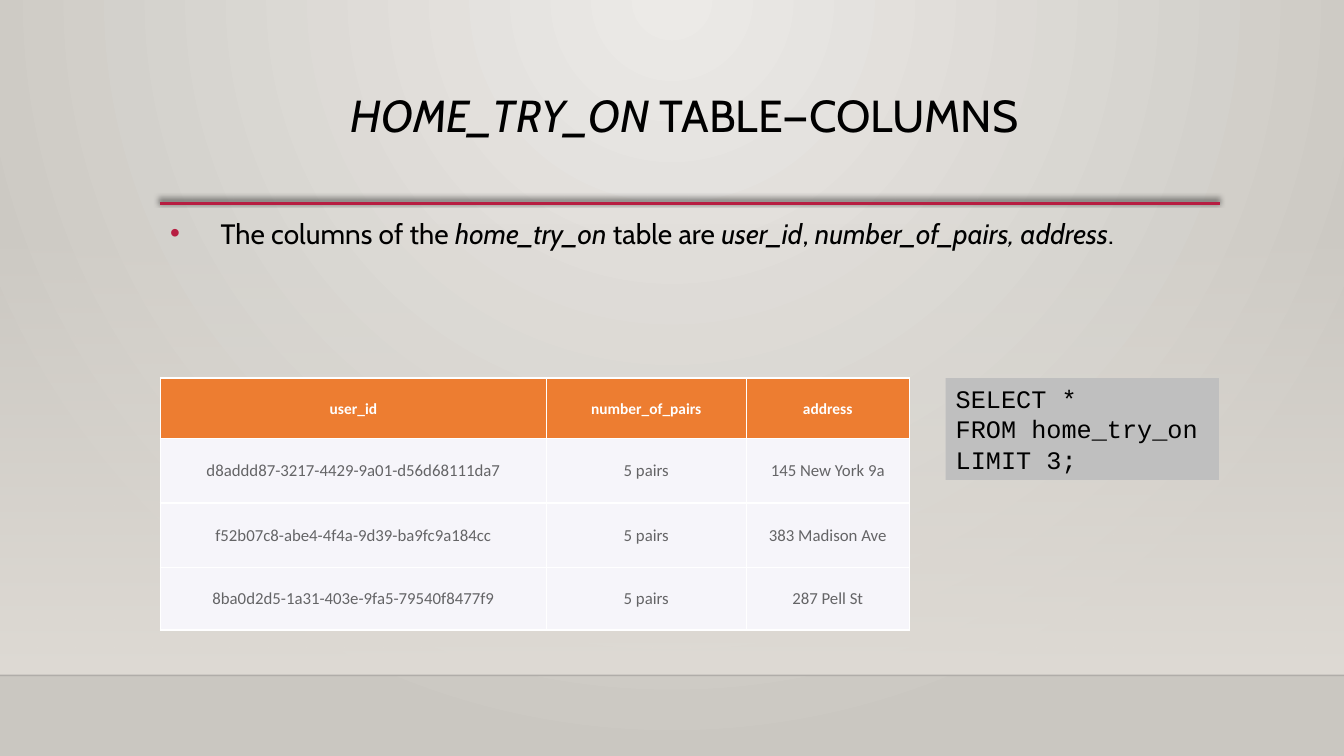
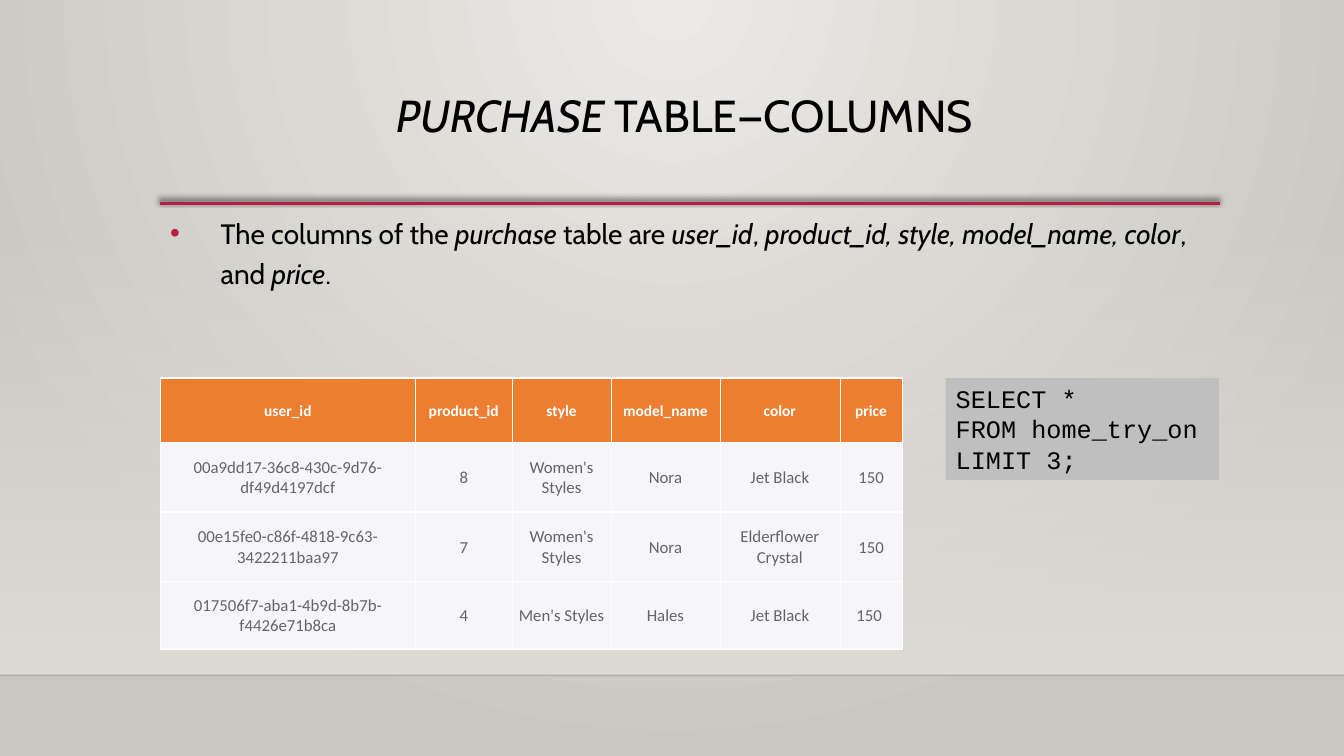
import lxml.etree
import pptx
import pptx.dml.color
import pptx.enum.shapes
import pptx.enum.text
import pptx.oxml.ns
import pptx.util

Inches = pptx.util.Inches
Pt = pptx.util.Pt
qn = pptx.oxml.ns.qn
ALIGN = pptx.enum.text.PP_ALIGN
MIDDLE = pptx.enum.text.MSO_ANCHOR.MIDDLE

WIDTH, HEIGHT = 13.33, 7.5
LEFT, CONTENT_WIDTH = 1.59, 10.5
RULE_TOP, TABLE_TOP, FLOOR_TOP = 2.02, 3.75, 6.7
CODE_LEFT, CODE_WIDTH = 9.38, 2.71


def color(hex_text):
    return pptx.dml.color.RGBColor.from_string(hex_text)


def add_element(parent, tag, **attributes):
    element = lxml.etree.SubElement(parent, qn(tag))
    for name, value in attributes.items():
        element.set(name, str(value))
    return element


def add_color(parent, hex_text, opacity=100):
    element = add_element(parent, "a:srgbClr", val=hex_text)
    if opacity < 100:
        add_element(element, "a:alpha", val=opacity * 1000)


def set_gradient(fill, start, end):
    fill.gradient()
    for stop, hex_text in zip(fill.gradient_stops, (start, end)):
        stop.color.rgb = color(hex_text)


class Deck:
    ACCENT = "B71E42"
    TEXT = "000000"
    FLOOR = "DFDBD5"
    CODE_FILL = "BFBFBF"
    HEADER_FILL, HEADER_TEXT = "ED7D31", "FFFFFF"
    CELL_FILL, CELL_TEXT = "F6F5FA", "646466"
    BORDER = "FFFFFF"
    BODY_FONT, TABLE_FONT, CODE_FONT = "Cabin", "Calibri", "Courier New"

    def __init__(self):
        self.presentation = pptx.Presentation()
        self.presentation.slide_width = Inches(WIDTH)
        self.presentation.slide_height = Inches(HEIGHT)
        self.slide = None
        self.set_background()

    def set_background(self):
        """Give the master a round gradient that spreads from the top centre."""
        master = self.presentation.slide_master
        set_gradient(master.background.fill, "ECEAE7", "CAC7C1")
        gradient = master.element.find(".//" + qn("a:gradFill"))
        gradient.remove(gradient.find(qn("a:lin")))
        circle = add_element(gradient, "a:path", path="circle")
        add_element(circle, "a:fillToRect", l=43000, t=0, r=43000, b=100000)

    def add_slide(self):
        blank = self.presentation.slide_layouts[6]
        self.slide = self.presentation.slides.add_slide(blank)
        self.add_wall()
        floor_line = self.add_line(0, WIDTH, FLOOR_TOP, "000001", 1)
        line_color = floor_line.line._get_or_add_ln().find(".//" + qn("a:srgbClr"))
        add_element(line_color, "a:alpha", val=20000)
        rule = self.add_line(LEFT, 12.1, RULE_TOP, self.ACCENT, 2.5)
        effects = rule._element.spPr.find(qn("a:effectLst"))
        shadow = add_element(effects, "a:outerShdw", blurRad=Pt(4), dist=Pt(3),
                             dir=245 * 60000, algn="ctr", rotWithShape=0)
        add_color(shadow, "000000", 60)

    def add_rectangle(self, left, top, width, height):
        shape = self.slide.shapes.add_shape(
            pptx.enum.shapes.MSO_SHAPE.RECTANGLE,
            Inches(left), Inches(top), Inches(width), Inches(height))
        shape.shadow.inherit = False
        shape.line.fill.background()
        return shape

    def add_wall(self):
        """Fade the lower part of the background in, down to the floor line."""
        top = 2.21
        wall = self.add_rectangle(0, top, WIDTH, FLOOR_TOP - top)
        set_gradient(wall.fill, self.FLOOR, self.FLOOR)
        wall.fill.gradient_angle = 270
        first_color = wall._element.spPr.find(".//" + qn("a:srgbClr"))
        add_element(first_color, "a:alpha", val=0)

    def add_line(self, start, end, top, hex_text, weight):
        line = self.slide.shapes.add_connector(
            pptx.enum.shapes.MSO_CONNECTOR.STRAIGHT,
            Inches(start), Inches(top), Inches(end), Inches(top))
        line.line.color.rgb = color(hex_text)
        line.line.width = Pt(weight)
        add_element(line._element.spPr, "a:effectLst")
        return line

    def add_runs(self, paragraph, text, font, size, hex_text=TEXT, bold=False):
        """Add runs split at each bar; every second one is italic."""
        for index, part in enumerate(text.split("|")):
            if not part:
                continue
            run = paragraph.add_run()
            run.text = part
            run.font.name = font
            run.font.size = Pt(size)
            run.font.color.rgb = color(hex_text)
            run.font.bold = bold
            run.font.italic = index % 2 == 1

    def add_text_box(self, top, height):
        box = self.slide.shapes.add_textbox(
            Inches(LEFT), Inches(top), Inches(CONTENT_WIDTH), Inches(height))
        box.text_frame.word_wrap = True
        return box.text_frame.paragraphs[0]

    def add_title(self, text):
        paragraph = self.add_text_box(0.88, 1.15)
        paragraph.alignment = ALIGN.CENTER
        paragraph.line_spacing = 0.9
        self.add_runs(paragraph, text, self.BODY_FONT, 32)

    def add_bullet(self, text, height):
        paragraph = self.add_text_box(2.03, height)
        paragraph.line_spacing = 1.2
        paragraph.space_before = Pt(10)
        properties = paragraph._p.get_or_add_pPr()
        properties.set("marL", str(Inches(0.5)))
        properties.set("indent", str(Inches(-0.5)))
        add_color(add_element(properties, "a:buClr"), self.ACCENT)
        add_element(properties, "a:buFont", typeface="Arial")
        add_element(properties, "a:buChar", char="•")
        self.add_runs(paragraph, text, self.BODY_FONT, 20)

    def add_code(self, lines):
        shape = self.add_rectangle(CODE_LEFT, TABLE_TOP, CODE_WIDTH, 1.01)
        shape.fill.solid()
        shape.fill.fore_color.rgb = color(self.CODE_FILL)
        frame = shape.text_frame
        frame.word_wrap = True
        frame.vertical_anchor = MIDDLE
        for index, line in enumerate(lines):
            paragraph = frame.add_paragraph() if index else frame.paragraphs[0]
            paragraph.alignment = ALIGN.LEFT
            self.add_runs(paragraph, line, self.CODE_FONT, 18)

    def add_table(self, rows, widths, heights):
        table = self.slide.shapes.add_table(
            len(rows), len(widths), Inches(LEFT), Inches(TABLE_TOP),
            Inches(sum(widths)), Inches(sum(heights))).table
        table.horz_banding = False
        for column, width in zip(table.columns, widths):
            column.width = Inches(width)
        for row_index, (values, height) in enumerate(zip(rows, heights)):
            table.rows[row_index].height = Inches(height)
            for column_index, value in enumerate(values):
                cell = table.cell(row_index, column_index)
                self.fill_cell(cell, value, row_index == 0, column_index == 0)

    def fill_cell(self, cell, value, is_header, is_first):
        cell.margin_left = cell.margin_right = cell.margin_top = Inches(0.01)
        cell.margin_bottom = 0
        cell.vertical_anchor = MIDDLE
        properties = cell._tc.get_or_add_tcPr()
        weights = {"L": 1 if is_first else 0.5, "R": 0.5, "T": 1, "B": 1}
        for side, weight in weights.items():
            border = add_element(properties, "a:ln" + side, w=Pt(weight))
            add_color(add_element(border, "a:solidFill"), self.BORDER)
        cell.fill.solid()
        cell.fill.fore_color.rgb = color(self.HEADER_FILL if is_header else self.CELL_FILL)
        paragraph = cell.text_frame.paragraphs[0]
        paragraph.alignment = ALIGN.CENTER
        self.add_runs(paragraph, value, self.TABLE_FONT, 11 if is_header else 12,
                      self.HEADER_TEXT if is_header else self.CELL_TEXT, is_header)


QUERY = ["SELECT *", "FROM home_try_on", "LIMIT 3;"]

TABLE_SLIDES = [
    {
        "title": "|HOME_TRY_ON |TABLE—COLUMNS ",
        "bullet": "The columns of the |home_try_on| table are |user_id|, "
                  "|number_of_pairs, address|.",
        "bullet_height": 0.47,
        "widths": [3.83, 1.98, 1.62],
        "heights": [0.6, 0.64, 0.64, 0.62],
        "rows": [
            ["user_id", "number_of_pairs", "address"],
            ["d8addd87-3217-4429-9a01-d56d68111da7", "5 pairs", "145 New York 9a"],
            ["f52b07c8-abe4-4f4a-9d39-ba9fc9a184cc", "5 pairs", "383 Madison Ave"],
            ["8ba0d2d5-1a31-403e-9fa5-79540f8477f9", "5 pairs", "287 Pell St"],
        ],
    },
    {
        "title": "|PURCHASE |TABLE—COLUMNS ",
        "bullet": "The columns of the |purchase| table are |user_id|, "
                  "|product_id, style, model_name, color|, and |price|.",
        "bullet_height": 0.87,
        "widths": [2.53, 0.96, 0.98, 1.08, 1.19, 0.62],
        "heights": [0.64, 0.69, 0.69, 0.67],
        "rows": [
            ["user_id", "product_id", "style", "model_name", "color", "price"],
            ["00a9dd17-36c8-430c-9d76-df49d4197dcf", "8", "Women's Styles",
             "Nora", "Jet Black", "150"],
            ["00e15fe0-c86f-4818-9c63-3422211baa97", "7", "Women's Styles",
             "Nora", "Elderflower Crystal", "150"],
            ["017506f7-aba1-4b9d-8b7b-f4426e71b8ca", "4", "Men's Styles",
             "Hales", "Jet Black", "150 "],
        ],
    },
]


def main():
    deck = Deck()
    for content in TABLE_SLIDES:
        deck.add_slide()
        deck.add_title(content["title"])
        deck.add_code(QUERY)
        deck.add_bullet(content["bullet"], content["bullet_height"])
        deck.add_table(content["rows"], content["widths"], content["heights"])
    deck.presentation.save("out.pptx")


if __name__ == "__main__":
    main()
